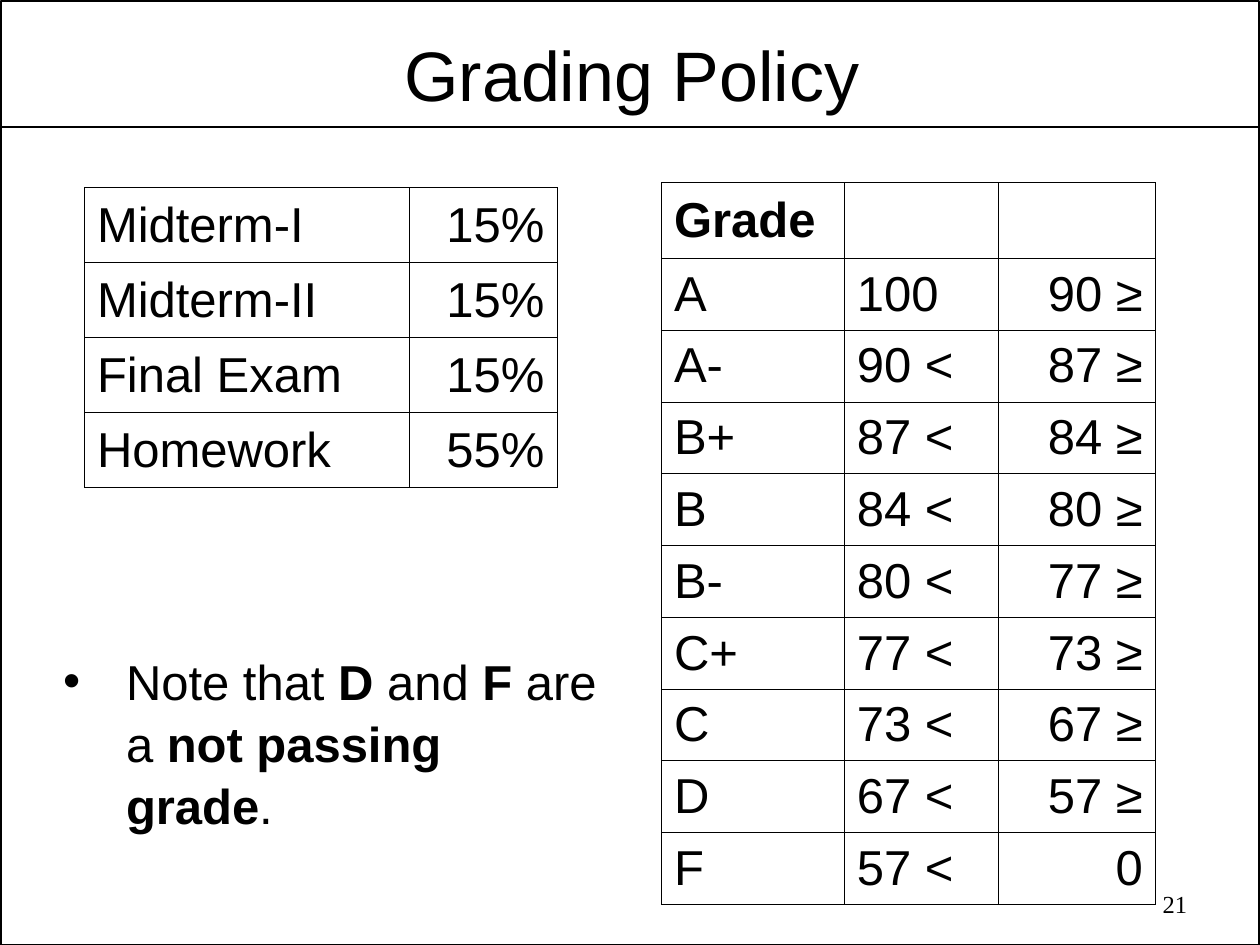
import pptx
import pptx.util
import pptx.dml.color
import pptx.enum.shapes
import pptx.enum.text
import pptx.oxml
import pptx.oxml.ns
from lxml import etree

Inches = pptx.util.Inches
Pt = pptx.util.Pt
ALIGN = pptx.enum.text.PP_ALIGN
MIDDLE = pptx.enum.text.MSO_ANCHOR.MIDDLE
COLORS = {"ink": "000000", "paper": "FFFFFF"}
qn = pptx.oxml.ns.qn

WEIGHTS = [("Midterm-I", "15%"), ("Midterm-II", "15%"), ("Final Exam", "15%"), ("Homework", "55%")]
GRADES = ["A", "A-", "B+", "B", "B-", "C+", "C", "D", "F"]
BOUNDS = [100, 90, 87, 84, 80, 77, 73, 67, 57, 0]
NOTE = [("Note that ", False), ("D", True), (" and ", False), ("F", True),
        (" are a ", False), ("not passing grade", True), (".", False)]


def color(name):
    return pptx.dml.color.RGBColor.from_string(COLORS[name])


def add_run(paragraph, text, size, bold=False, font="Arial"):
    run = paragraph.add_run()
    run.text = text
    run.font.size = Pt(size)
    run.font.name = font
    run.font.bold = bold
    run.font.color.rgb = color("ink")


def place(shape, box):
    shape.left, shape.top, shape.width, shape.height = [Inches(length) for length in box]


def set_frame(shape, horizontal, vertical, anchor):
    frame = shape.text_frame
    frame.word_wrap = True
    frame.auto_size = pptx.enum.text.MSO_AUTO_SIZE.NONE
    frame.margin_left = frame.margin_right = Inches(horizontal)
    frame.margin_top = frame.margin_bottom = Inches(vertical)
    frame.vertical_anchor = anchor
    return frame.paragraphs[0]


def add_page_frame(slide, box, rule_top):
    left, top, width, height = box
    border = slide.shapes.add_shape(
        pptx.enum.shapes.MSO_SHAPE.RECTANGLE, *[Inches(length) for length in box])
    border.shadow.inherit = False
    border.fill.background()
    rule = slide.shapes.add_connector(
        pptx.enum.shapes.MSO_CONNECTOR.STRAIGHT,
        Inches(left), Inches(rule_top), Inches(left + width), Inches(rule_top))
    etree.SubElement(rule._element.spPr, qn("a:effectLst"))
    for shape in (border, rule):
        shape.line.color.rgb = color("ink")
        shape.line.width = Pt(1)


def fill_title(title, box):
    place(title, box)
    paragraph = set_frame(title, 0.07, 0.03, MIDDLE)
    paragraph.alignment = ALIGN.CENTER
    add_run(paragraph, "Grading Policy", 40)


def fill_note(body, box):
    place(body, box)
    paragraph = set_frame(body, 0.07, 0.03, pptx.enum.text.MSO_ANCHOR.TOP)
    properties = paragraph._p.get_or_add_pPr()
    properties.set("marL", str(Inches(0.5)))
    properties.set("indent", str(-Inches(0.5)))
    paragraph.space_before = Pt(0)
    paragraph.line_spacing = 1.06
    etree.SubElement(properties, qn("a:buFont"), typeface="Arial")
    etree.SubElement(properties, qn("a:buChar"), char="•")
    for text, bold in NOTE:
        add_run(paragraph, text, 28, bold)


def add_page_number(slide, box):
    number = slide.shapes.add_textbox(*[Inches(length) for length in box])
    paragraph = set_frame(number, 0.1, 0.05, pptx.enum.text.MSO_ANCHOR.TOP)
    paragraph.alignment = ALIGN.RIGHT
    add_run(paragraph, "21", 14, font="Times New Roman")


def draw_borders(cell):
    properties = cell._tc.get_or_add_tcPr()
    for side in ("lnL", "lnR", "lnT", "lnB"):
        line = etree.SubElement(properties, qn("a:" + side), w=str(Pt(0.45)))
        fill = etree.SubElement(line, qn("a:solidFill"))
        etree.SubElement(fill, qn("a:srgbClr"), val=COLORS["ink"])


def add_grid(slide, left, top, widths, heights, rows, bold_header=False):
    table = slide.shapes.add_table(
        len(rows), len(widths), Inches(left), Inches(top),
        Inches(sum(widths)), Inches(sum(heights))).table
    table.first_row = table.horz_banding = False
    for column, width in zip(table.columns, widths):
        column.width = Inches(width)
    for index, values in enumerate(rows):
        table.rows[index].height = Inches(heights[index])
        for position, text in enumerate(values):
            cell = table.cell(index, position)
            draw_borders(cell)
            cell.fill.background()
            cell.vertical_anchor = MIDDLE
            cell.margin_left = cell.margin_right = Inches(0.1)
            cell.margin_top = cell.margin_bottom = Inches(0.05)
            if text:
                paragraph = cell.text_frame.paragraphs[0]
                is_last = position == len(widths) - 1
                paragraph.alignment = ALIGN.RIGHT if is_last else ALIGN.LEFT
                add_run(paragraph, text, 28, bold_header and index == 0)


def grade_rows():
    rows = [("Grade", "", "")]
    for grade, upper, lower in zip(GRADES, BOUNDS, BOUNDS[1:]):
        rows.append((grade,
                     f"{upper} <" if upper < 100 else str(upper),
                     f"{lower} ≥" if lower else str(lower)))
    return rows


def main():
    presentation = pptx.Presentation()
    presentation.slide_width = Inches(10)
    presentation.slide_height = Inches(7.5)
    slide = presentation.slides.add_slide(presentation.slide_layouts[1])
    slide.background.fill.solid()
    slide.background.fill.fore_color.rgb = color("paper")
    add_page_frame(slide, (0.01, 0.01, 9.98, 7.49), 1.01)
    fill_title(slide.shapes.title, (0.53, 0.19, 8.97, 0.78))
    add_grid(slide, 0.67, 1.49, [2.58, 1.17], [0.595] * 4, WEIGHTS)
    add_grid(slide, 5.25, 1.45, [1.45, 1.22, 1.25], [0.6] + [0.57] * 9, grade_rows(), True)
    fill_note(slide.placeholders[1], (0.43, 5.11, 4.4, 1.46))
    add_page_number(slide, (7.18, 7.01, 2.34, 0.36))
    presentation.save("out.pptx")


if __name__ == "__main__":
    main()
